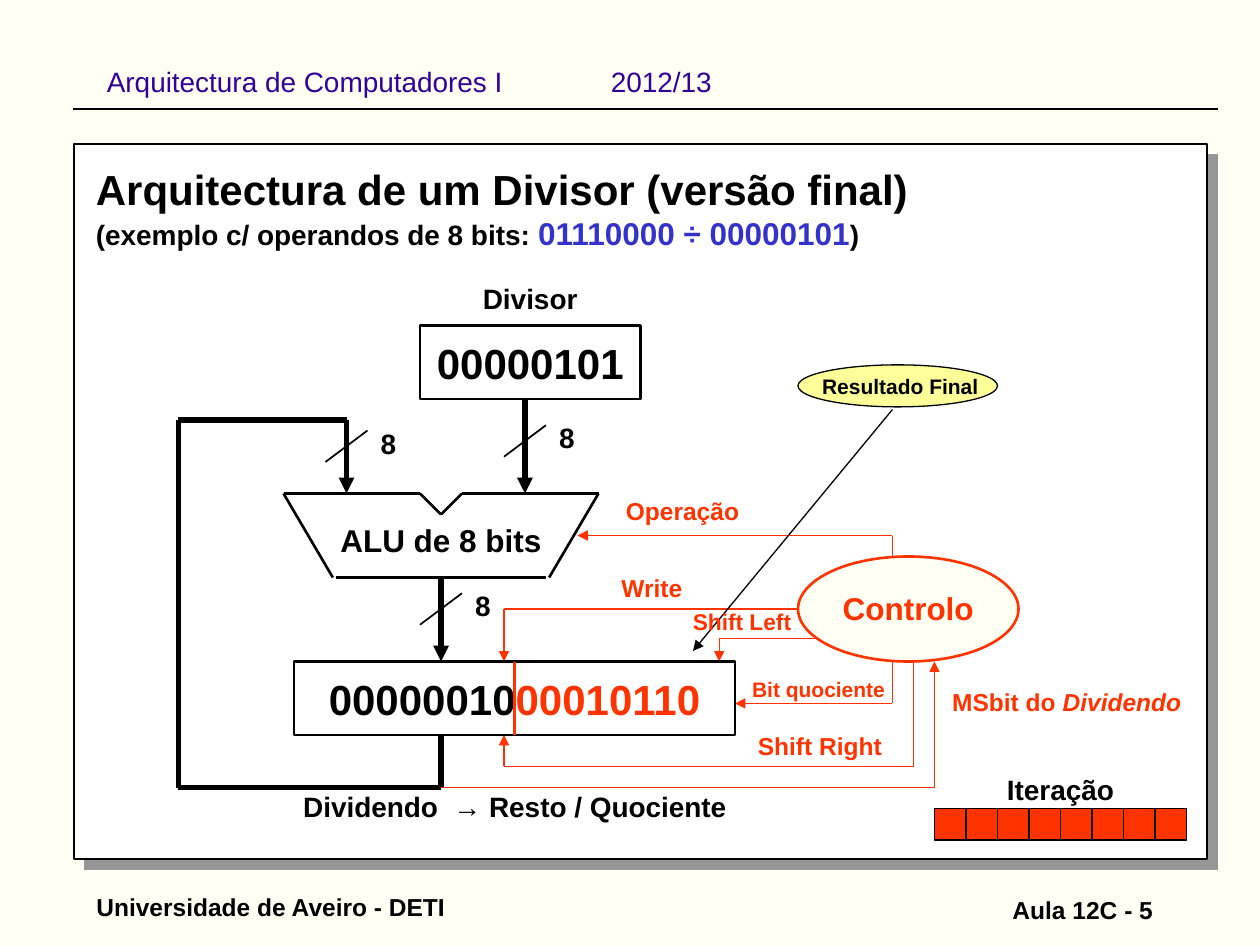
"""Draws the slide on the final eight-bit divider on a grid of twelfths of an inch."""
from itertools import pairwise
from lxml.etree import SubElement as Sub
from pptx import Presentation
from pptx.dml.color import RGBColor as Rgb
from pptx.enum.shapes import MSO_CONNECTOR as Link, MSO_SHAPE as Form
from pptx.enum.text import MSO_ANCHOR as Anchor, PP_ALIGN as Align
from pptx.oxml.ns import qn
from pptx.util import Inches, Pt

HUES = {
    "page": "FFFFF4", "white": "FFFFFF", "ink": "000000", "red": "FF3300",
    "blue": "3333CC", "violet": "330099", "lemon": "FFFF99", "shade": "969696",
}


class Page:
    def __init__(self, deck):
        self.font = {"name": "Arial", "bold": True}
        self.slide = deck.slides.add_slide(deck.slide_layouts[6])
        self.shapes = self.slide.shapes
        self.paint(self.slide.background.fill, "page")

    def hue(self, name):
        return Rgb.from_string(HUES[name])

    def grid(self, *units):
        return [Inches(unit / 12) for unit in units]

    def paint(self, fill, name):
        fill.solid()
        fill.fore_color.rgb = self.hue(name)

    def stroke(self, line, name, width):
        line.color.rgb = self.hue(name)
        line.width = Pt(width)

    def label(self, frame, runs, size, hue, align, **extra):
        para = frame.paragraphs[0]
        para.alignment = align
        for text, *diff in runs:
            if text == "\n":
                para.add_line_break()
                continue
            form = {"size": size, "hue": hue, **self.font, **extra}
            form.update(*diff)
            run = para.add_run()
            run.text = text
            run.font.color.rgb = self.hue(form.pop("hue"))
            form["size"] = Pt(form["size"])
            for key, value in form.items():
                setattr(run.font, key, value)
        return para

    def text(self, left, top, wide, *runs, size=16, hue="ink",
             align=Align.CENTER, high=None, **extra):
        area = self.grid(left, top, wide, high or size / 5 + 1.2)
        frame = self.shapes.add_textbox(*area).text_frame
        frame.word_wrap = True
        return self.label(frame, runs, size, hue, align, **extra)

    def box(self, form, area, fill, line="ink", width=1.5, runs=()):
        shape = self.shapes.add_shape(form, *self.grid(*area))
        shape.shadow.inherit = False
        self.paint(shape.fill, fill)
        self.stroke(shape.line, line, width)
        if runs:
            frame = shape.text_frame
            frame.word_wrap = False
            frame.vertical_anchor = Anchor.MIDDLE
            self.label(frame, runs, 24, "ink", Align.CENTER)
        return shape

    def shade(self, shape):
        cast = Sub(shape.element.spPr.find(qn("a:effectLst")), qn("a:outerShdw"),
                   dist=str(Pt(8.5)), dir="2700000", algn="ctr", rotWithShape="0")
        Sub(cast, qn("a:srgbClr"), val=HUES["shade"])

    def wire(self, start, end, hue="ink", width=1.0, tip=False):
        line = self.shapes.add_connector(Link.STRAIGHT, *self.grid(*start, *end))
        self.stroke(line.line, hue, width)
        props = line.element.spPr
        if tip:
            Sub(props.find(qn("a:ln")), qn("a:tailEnd"), type="triangle")
        Sub(props, qn("a:effectLst"))
        return line

    def route(self, *points, hue="red", width=1, tip=1):
        *legs, last = pairwise(points)
        for leg in legs:
            self.wire(*leg, hue, width)
        self.wire(*last, hue, tip or width, bool(tip))

    def bus(self, left, low):
        self.wire((left, low), (left + 4, low - 3))
        self.text(left + 3, low - 4, 6, ("8",))


def border(page):
    page.shade(page.box(Form.RECTANGLE, (7.05, 13.7, 107.9, 68.1), "white", width=1))
    page.text(86, 84.6, 25, ("Aula 12C - 5",), size=14, align=Align.RIGHT)
    head = page.text(9, 5.6, 102, ("Arquitectura de Computadores I\t2012/13",),
                     hue="violet", align=Align.LEFT, bold=False)
    tabs = Sub(head._p.get_or_add_pPr(), qn("a:tabLst"))
    Sub(tabs, qn("a:tab"), pos=str(Inches(4)), algn="l")
    page.wire((7, 10.35), (116, 10.35))
    page.text(8, 84.4, 40.3, ("Universidade de Aveiro - DETI",), size=14,
              align=Align.LEFT)
    page.text(7.95, 14.95, 107,
              ("Arquitectura de um Divisor (versão final)", {"size": 24}), ("\n",),
              ("(exemplo c/ operandos de 8 bits: ",),
              ("01110000 ÷ 00000101", {"size": 18, "hue": "blue"}), (")",),
              align=Align.LEFT, high=9.6)


def wires(page):
    page.route((85, 54), (85, 51), (55, 51))
    page.route((85, 63), (85, 67), (70, 67))
    bold = {"hue": "ink", "width": 3, "tip": 3}
    page.route((50, 38), (50, 47), **bold)
    page.route((42, 55), (42, 63), **bold)
    page.route((42, 70), (42, 75), (17, 75), (17, 40), (33, 40), (33, 47), **bold)
    edge = {"hue": "ink", "width": 1.5, "tip": 0}
    page.route((31.7, 55), (27, 47), (40, 47), (42, 49), (44, 47), (57, 47),
               (52.3, 55), **edge)
    page.route((52, 55), (32, 55), **edge)
    page.route((42, 75), (89, 75), (89, 63), tip=0.75)
    page.route((76, 58), (48, 58), (48, 63), tip=0.75)
    page.route((87, 63), (87, 73), (48, 73), (48, 70), tip=0.75)
    page.route((78, 60.8), (68.5, 60.8), (68.5, 63), tip=0.75)
    for left, low in ((48, 43.5), (31, 44), (40, 59.5)):
        page.bus(left, low)


def parts(page):
    page.box(Form.OVAL, (76, 53, 21, 10), "page", "red")
    page.box(Form.RECTANGLE, (40, 31, 21, 7), "white", runs=[("00000101",)])
    pair = page.box(Form.RECTANGLE, (28, 63, 42, 7), "white",
                    runs=[("00000010",), ("00010110", {"hue": "red"})])
    split = page.wire((49, 63), (49, 70), "red", 1.5)
    split.begin_connect(pair, 0)
    split.end_connect(pair, 2)
    for step in range(8):
        page.box(Form.RECTANGLE, (89 + 3 * step, 77, 3, 3), "red", width=0.75)
    page.wire((85, 39), (66, 62), width=0.75, tip=True)
    page.box(Form.OVAL, (76, 34.75, 19, 4), "lemon", width=0.75)


def labels(page):
    page.text(42, 26.2, 17, ("Divisor",))
    page.text(30, 49, 24, ("ALU de 8 bits",), size=18)
    page.text(76.5, 55.5, 20, ("Controlo",), size=18, hue="red")
    page.text(77, 34.95, 17.5, ("Resultado Final",), size=12)
    page.text(25.9, 74.6, 46.3, ("Dividendo  → Resto / Quociente",))
    page.text(90, 73, 22, ("Iteração",))
    page.text(57, 46.6, 16, ("Operação",), size=14, hue="red")
    notes = (
        (58, 54, 9, 14, "Write"), (70.45, 63.85, 16, 12, "Bit quociente"),
        (71, 69, 16, 14, "Shift Right"), (64.8, 57.25, 16, 13, "Shift Left"),
    )
    for left, top, wide, size, word in notes:
        page.text(left, top, wide, (word,), size=size, hue="red", align=Align.LEFT)
    page.text(89.5, 64.8, 24.4, ("MSbit do ",), ("Dividendo", {"italic": True}),
              size=14, hue="red", align=Align.LEFT)


def main():
    deck = Presentation()
    deck.slide_width, deck.slide_height = Inches(10), Inches(7.5)
    page = Page(deck)
    for draw in (border, wires, parts, labels):
        draw(page)
    deck.save("out.pptx")


if __name__ == "__main__":
    main()
